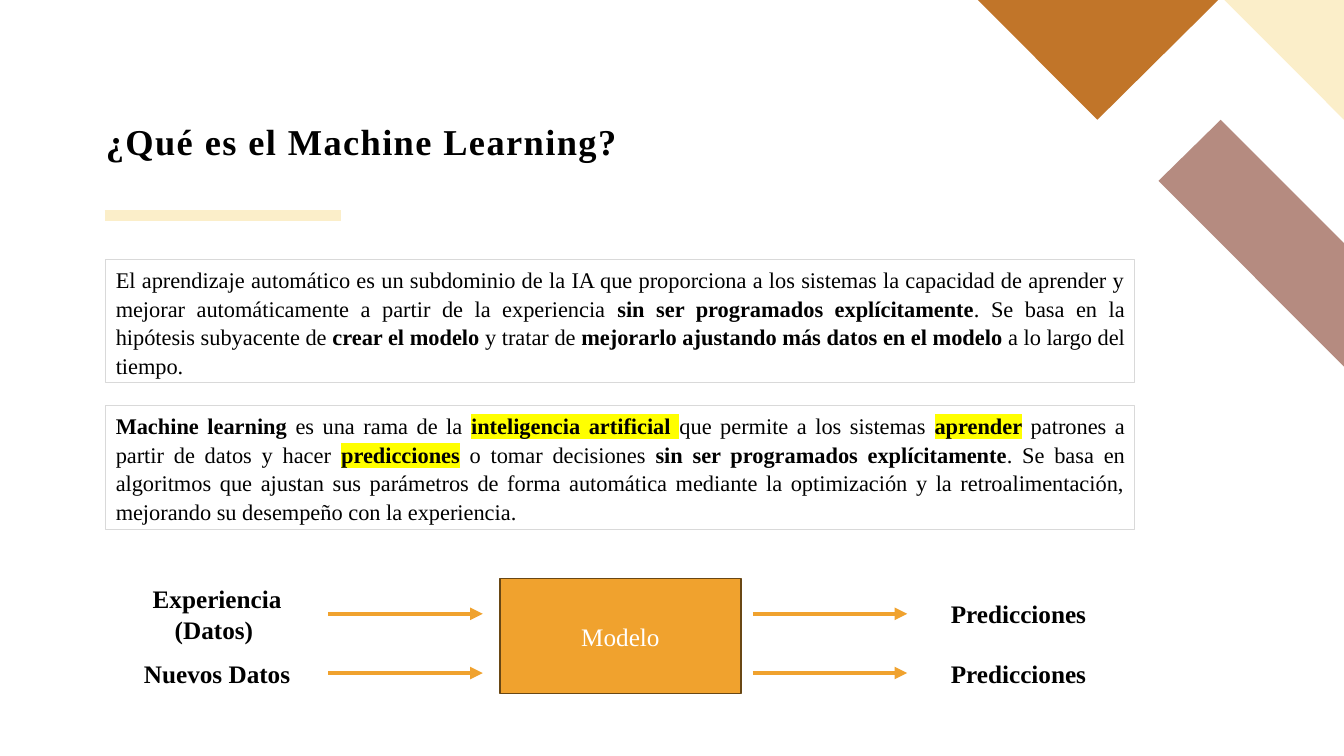
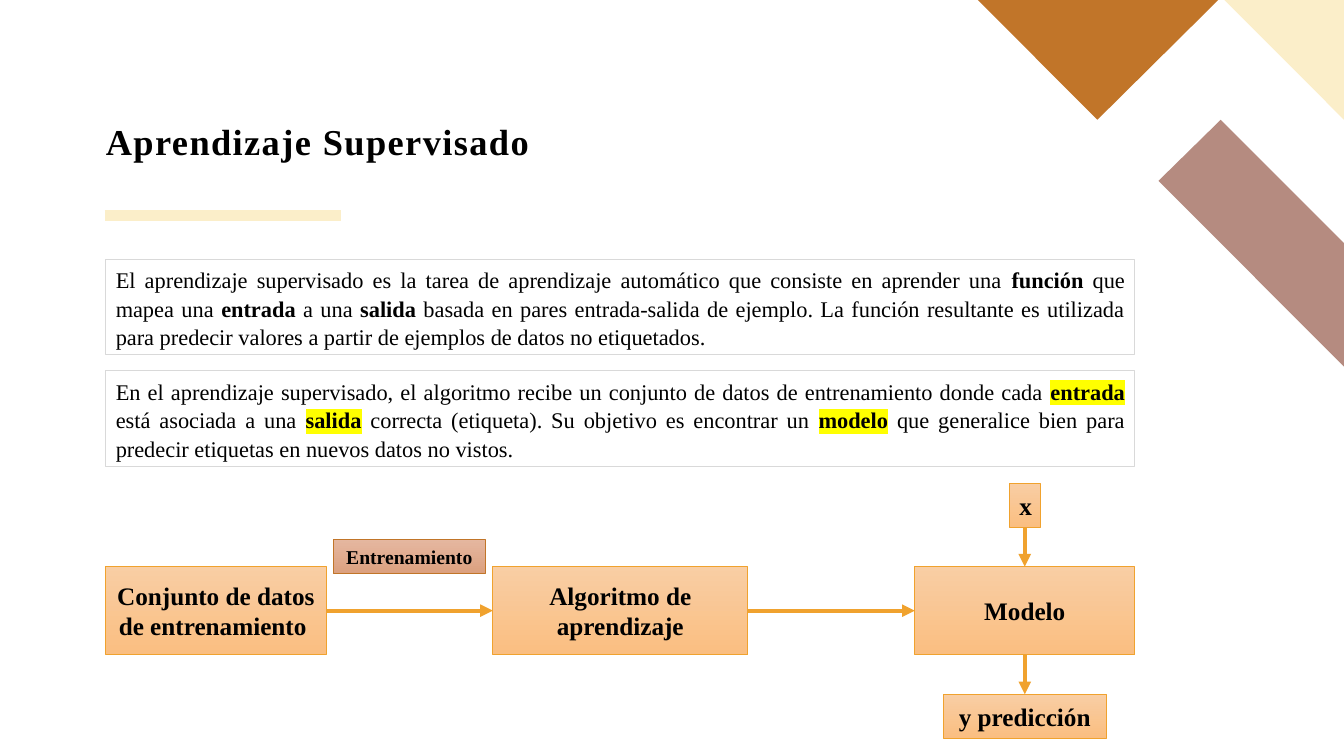
from typing import NamedTuple

from lxml.etree import SubElement
from pptx import Presentation
from pptx.dml.color import RGBColor
from pptx.enum.shapes import MSO_CONNECTOR as Connector, MSO_SHAPE as Preset
from pptx.enum.text import MSO_ANCHOR as Anchor, MSO_AUTO_SIZE as AutoSize, PP_ALIGN as Align
from pptx.oxml.ns import qn
from pptx.util import Inches, Pt

FONT = "Times New Roman"
COLORS = {
    "black": "000000", "white": "FFFFFF", "cream": "FBEEC9", "mauve": "B58B80",
    "brown": "C17529", "orange": "F0A22E", "dark": "694714", "border": "D9D9D9",
    "highlight": "FFFF00", "peach_top": "F9CEA4", "peach_bottom": "FABE81",
    "clay_top": "E5B7A0", "clay_bottom": "DBA07E",
}
PEACH = ("peach_top", "peach_bottom")
CLAY = ("clay_top", "clay_bottom")
WIDTH, HEIGHT = Inches(13.33), Inches(7.5)
COLUMNS, ROWS = 64, 36
MARGIN, CONTENT = 5.04, 49


class Box(NamedTuple):
    """A rectangle measured in grid columns and rows."""
    left: float
    top: float
    width: float
    height: float

    def inner(self, left, top, width, height):
        """Return a box whose position is relative to this one."""
        return Box(self.left + left, self.top + top, width, height)

    def point(self, column, row):
        """Return a slide position relative to this box."""
        return grid(self.left + column, self.top + row)

    def place(self):
        """Return left, top, width and height as slide lengths."""
        return grid(self.left, self.top) + grid(self.width, self.height)


def grid(column, row):
    """Turn grid columns and rows into slide lengths."""
    return round(column * WIDTH / COLUMNS), round(row * HEIGHT / ROWS)


def color(name):
    """Look up a colour by name."""
    return RGBColor.from_string(COLORS[name])


def style_paragraph(paragraph, size, ink="black", bold=False, align=Align.CENTER):
    """Give a paragraph its alignment and font."""
    paragraph.alignment = align
    font = paragraph.font
    font.name, font.size, font.bold = FONT, Pt(size), bold
    font.color.rgb = color(ink)


def add_box(slide, box, line, weight, fill=None, preset=Preset.FLOWCHART_PROCESS):
    """Add an outlined box with no fill, a plain fill or a vertical gradient."""
    shape = slide.shapes.add_shape(preset, *box.place())
    shape.shadow.inherit = False
    shape.line.color.rgb = color(line)
    shape.line.width = Pt(weight)
    if fill is None:
        shape.fill.background()
    elif isinstance(fill, tuple):
        shape.fill.gradient()
        shape.fill.gradient_angle = 270
        for stop, name in zip(shape.fill.gradient_stops, fill):
            stop.color.rgb = color(name)
    else:
        shape.fill.solid()
        shape.fill.fore_color.rgb = color(fill)
    return shape


def write(shape, text, size=18, ink="black", bold=True):
    """Write one centred paragraph in the middle of a shape."""
    frame = shape.text_frame
    frame.word_wrap = True
    frame.vertical_anchor = Anchor.MIDDLE
    frame.text = text
    style_paragraph(frame.paragraphs[0], size, ink, bold)
    return shape


def add_label(slide, box, text):
    """Add a bold label without outline."""
    return write(slide.shapes.add_textbox(*box.place()), text)


def add_step(slide, box, text, fill=PEACH, line="orange", size=18, preset=Preset.FLOWCHART_PROCESS):
    """Add a gradient box with bold text."""
    return write(add_box(slide, box, line, 0.5, fill, preset), text, size)


def add_line(slide, start, end, name, weight):
    """Add a plain straight line."""
    line = slide.shapes.add_connector(Connector.STRAIGHT, *start, *end)
    line.line.color.rgb = color(name)
    line.line.width = Pt(weight)
    SubElement(line._element.spPr, qn("a:effectLst"))
    return line


def add_arrow(slide, start=(0, 0), end=(0, 0), source=None, target=None):
    """Add an arrow between points or (shape, side) joints."""
    arrow = add_line(slide, start, end, "orange", 3)
    SubElement(arrow._element.spPr.get_or_add_ln(), qn("a:tailEnd"), type="triangle")
    if source:
        arrow.begin_connect(*source)
    if target:
        arrow.end_connect(*target)


def add_corner(slide, box):
    """Draw the diagonal shapes of the top right corner."""
    outlines = {
        "mauve": [(3, 3), (3, 1.99), (1.99, 0.98), (1.48, 1.48)],
        "cream": [(3, 0.98), (3, 0), (2.02, 0)],
        "brown": [(0, 0), (0.98, 0.98), (1.97, 0)],
    }
    for name, corners in outlines.items():
        points = [box.point(x * box.width / 3, y * box.height / 3) for x, y in corners]
        builder = slide.shapes.build_freeform(*points[0])
        builder.add_line_segments(points[1:], close=True)
        shape = builder.convert_to_shape()
        shape.shadow.inherit = False
        shape.fill.solid()
        shape.fill.fore_color.rgb = color(name)
        shape.line.fill.background()


def add_titled_slide(presentation, text):
    """Add a slide with its title, underline and corner."""
    slide = presentation.slides.add_slide(presentation.slide_layouts[5])
    add_line(slide, grid(5, 10.25), grid(16.22, 10.25), "cream", 8)
    add_corner(slide, Box(46.56, 0, 17.44, 17.46))
    title = slide.shapes.title
    title.left, title.top, title.width, title.height = Box(MARGIN, 4.6, 43.44, 3.2).place()
    frame = title.text_frame
    frame.auto_size = AutoSize.NONE
    frame.vertical_anchor = Anchor.BOTTOM
    frame.margin_left = frame.margin_right = frame.margin_top = frame.margin_bottom = 0
    frame.text = text
    paragraph = frame.paragraphs[0]
    paragraph.line_spacing = 0.9
    style_paragraph(paragraph, 26, bold=True, align=Align.JUSTIFY)
    paragraph.runs[0]._r.get_or_add_rPr().set("spc", "100")
    return slide


def add_definition(slide, box, text):
    """Add a framed paragraph; |words| are bold and |=words| also highlighted."""
    shape = add_box(slide, box, "border", 0.75, preset=Preset.RECTANGLE)
    frame = shape.text_frame
    frame.word_wrap = True
    frame.vertical_anchor = Anchor.TOP
    paragraph = frame.paragraphs[0]
    paragraph.line_spacing = 1.07
    paragraph.space_after = Pt(8)
    style_paragraph(paragraph, 16, align=Align.JUSTIFY)
    for index, piece in enumerate(text.split("|")):
        if not piece:
            continue
        run = paragraph.add_run()
        run.text = piece.removeprefix("=")
        if index % 2:
            run.font.bold = True
        if piece.startswith("="):
            mark = SubElement(run._r.get_or_add_rPr(), qn("a:highlight"))
            SubElement(mark, qn("a:srgbClr"), val=COLORS["highlight"])


def add_model_flow(slide, box):
    """Draw two rows of input, model and predictions."""
    label_width, arrow_length, model_width = 10.6, 7.35, 11.47
    right = 38.16
    model = box.inner(18.77, 0, model_width, box.height)
    write(add_box(slide, model, "dark", 1, "orange"), "Modelo", ink="white", bold=False)
    rows = [(1.68, 3.4, "Experiencia (Datos) "), (4.5, 1.92, "Nuevos Datos")]
    for middle, height, text in rows:
        source = add_label(slide, box.inner(0, middle - height / 2, label_width, height), text)
        target = add_label(slide, box.inner(right, middle - 0.96, label_width, 1.92), "Predicciones")
        add_arrow(slide, end=box.point(label_width + arrow_length, middle), source=(source, 3))
        add_arrow(slide, start=box.point(right - arrow_length, middle), target=(target, 1))


def add_training_flow(slide, box):
    """Draw the training steps with the input and output of the model."""
    names = ["Conjunto de datos de entrenamiento ", "Algoritmo de aprendizaje", "Modelo"]
    widths = [10.48, 12.14, 10.48]
    step_height, small_height = 4.2, 2.1
    gap = (box.width - sum(widths)) / 2
    top = (box.height - step_height) / 2
    steps, left = [], 0
    for name, width in zip(names, widths):
        steps.append(add_step(slide, box.inner(left, top, width, step_height), name))
        left += width + gap
    dataset, algorithm, model = steps
    center = box.width - widths[-1] / 2
    entry = add_step(slide, box.inner(center - 0.73, 0, 1.46, small_height), "x")
    result = add_step(
        slide, box.inner(center - 3.9, box.height - small_height, 7.8, small_height), "y predicción")
    joints = [(dataset, 3, algorithm, 1), (algorithm, 3, model, 1),
              (entry, 2, model, 0), (model, 2, result, 0)]
    for source, source_side, target, target_side in joints:
        add_arrow(slide, source=(source, source_side), target=(target, target_side))
    tag_width = 7.25
    tag = box.inner(widths[0] + (gap - tag_width) / 2, 2.69, tag_width, 1.64)
    add_step(slide, tag, "Entrenamiento", CLAY, "brown", 14, Preset.RECTANGLE)


def add_machine_learning(presentation):
    """Build the slide that defines machine learning."""
    slide = add_titled_slide(presentation, "¿Qué es el Machine Learning?")
    add_definition(
        slide, Box(MARGIN, 12.34, CONTENT, 5.9),
        "El aprendizaje automático es un subdominio de la IA que proporciona a los sistemas la "
        "capacidad de aprender y mejorar automáticamente a partir de la experiencia |sin ser "
        "programados explícitamente|. Se basa en la hipótesis subyacente de |crear el modelo |y "
        "tratar de |mejorarlo ajustando más datos en el modelo |a lo largo del tiempo.")
    add_definition(
        slide, Box(MARGIN, 19.3, CONTENT, 5.9),
        "|Machine learning |es una rama de la |=inteligencia artificial |que permite a los "
        "sistemas |=aprender| patrones a partir de datos y hacer |=predicciones| o tomar "
        "decisiones |sin ser programados explícitamente|. Se basa en algoritmos que ajustan sus "
        "parámetros de forma automática mediante la optimización y la retroalimentación, "
        "mejorando su desempeño con la experiencia.")
    add_model_flow(slide, Box(MARGIN, 27.55, CONTENT, 5.47))


def add_supervised_learning(presentation):
    """Build the slide that explains supervised learning."""
    slide = add_titled_slide(presentation, "Aprendizaje Supervisado")
    add_definition(
        slide, Box(MARGIN, 12.34, CONTENT, 4.56),
        "El aprendizaje supervisado es la tarea de aprendizaje automático que consiste en "
        "aprender una |función| que mapea una |entrada| a una |salida| basada en pares "
        "entrada-salida de ejemplo. La función resultante es utilizada para predecir valores a "
        "partir de ejemplos de datos no etiquetados.")
    add_definition(
        slide, Box(MARGIN, 17.66, CONTENT, 4.56),
        "En el aprendizaje supervisado, el algoritmo recibe un conjunto de datos de "
        "entrenamiento donde cada |=entrada| está asociada a una |=salida| correcta (etiqueta). "
        "Su objetivo es encontrar un |=modelo| que generalice bien para predecir etiquetas en "
        "nuevos datos no vistos.")
    add_training_flow(slide, Box(MARGIN, 23, CONTENT, 12.16))


def main():
    """Build and save the presentation."""
    presentation = Presentation()
    presentation.slide_width, presentation.slide_height = WIDTH, HEIGHT
    add_machine_learning(presentation)
    add_supervised_learning(presentation)
    presentation.save("out.pptx")


if __name__ == "__main__":
    main()
